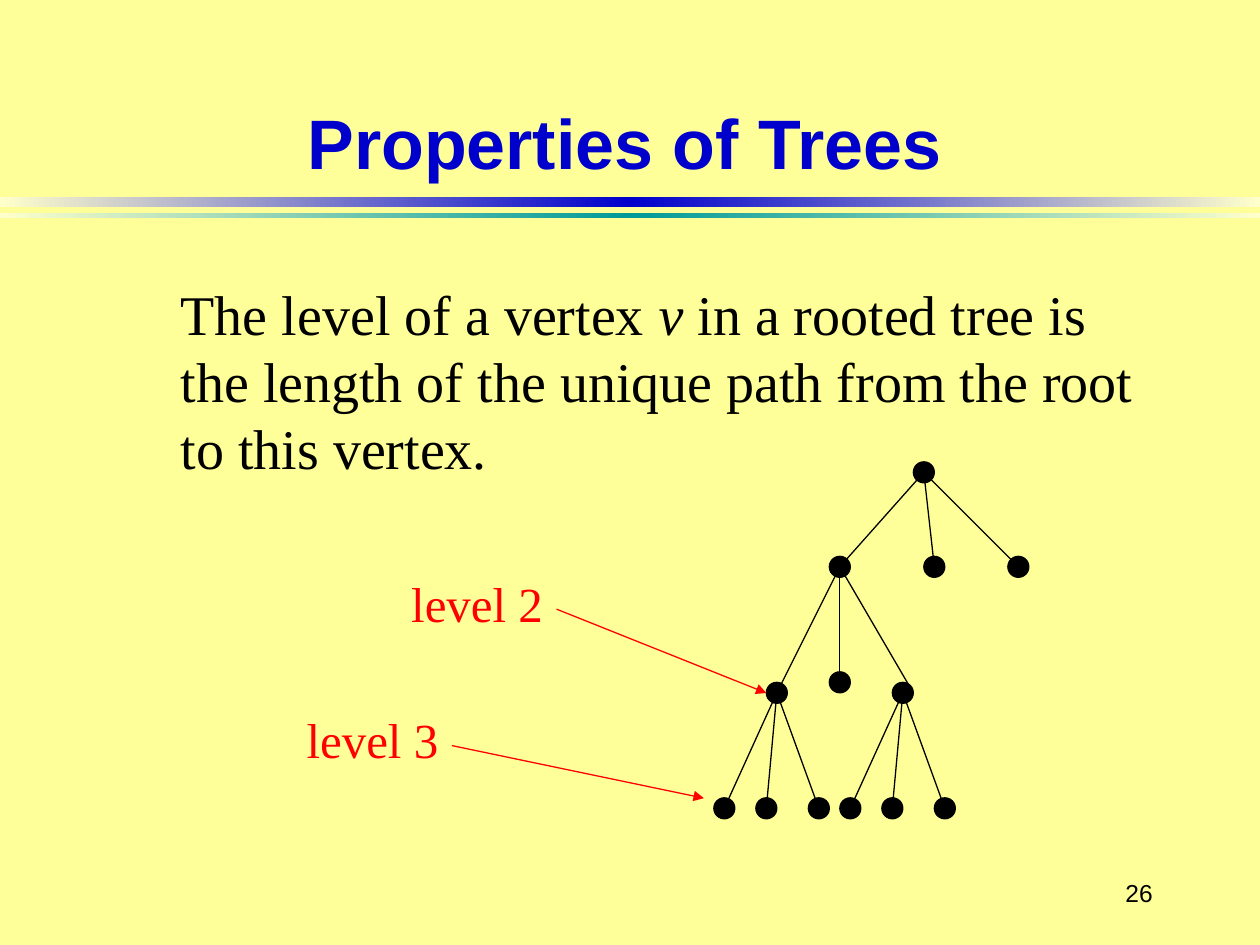
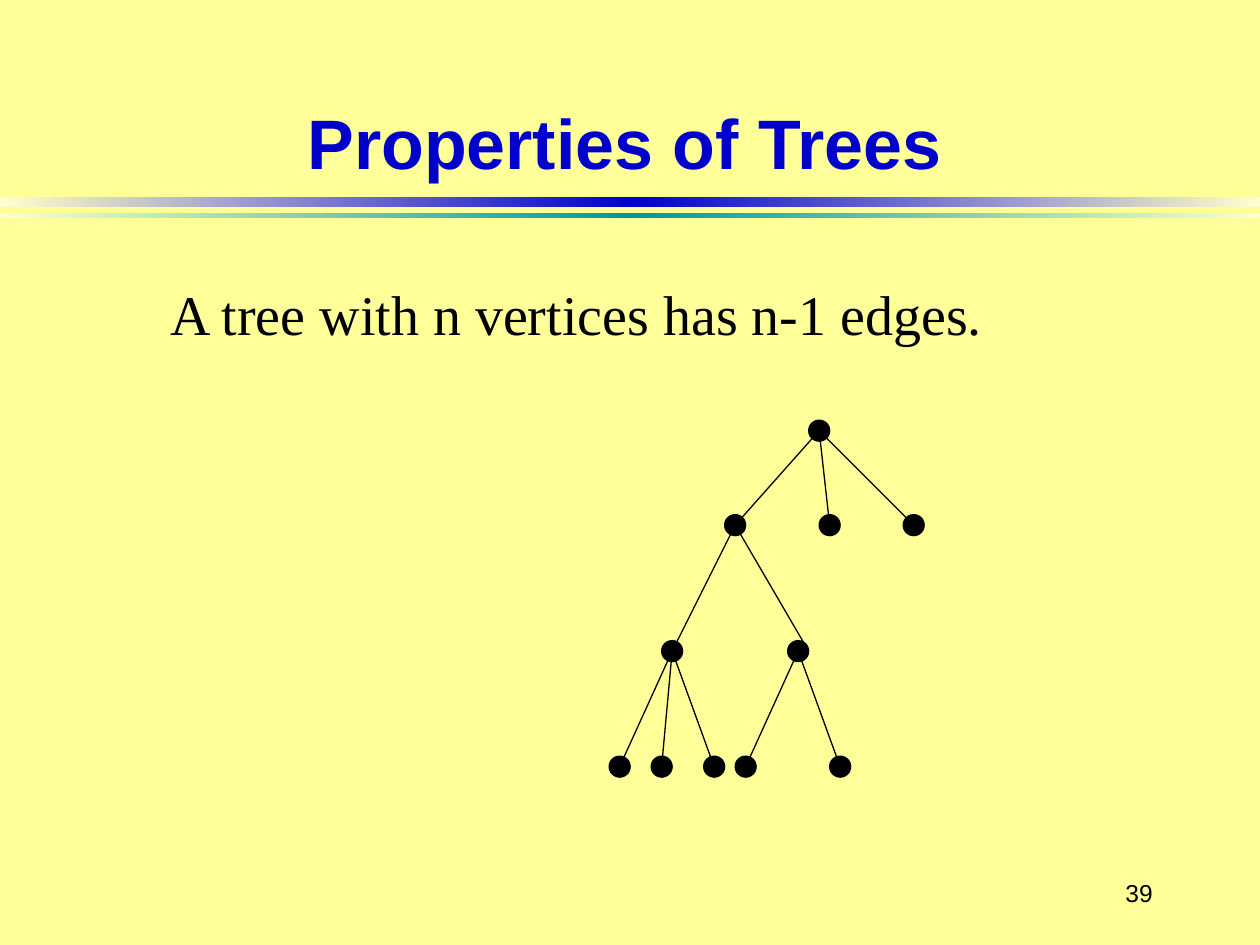
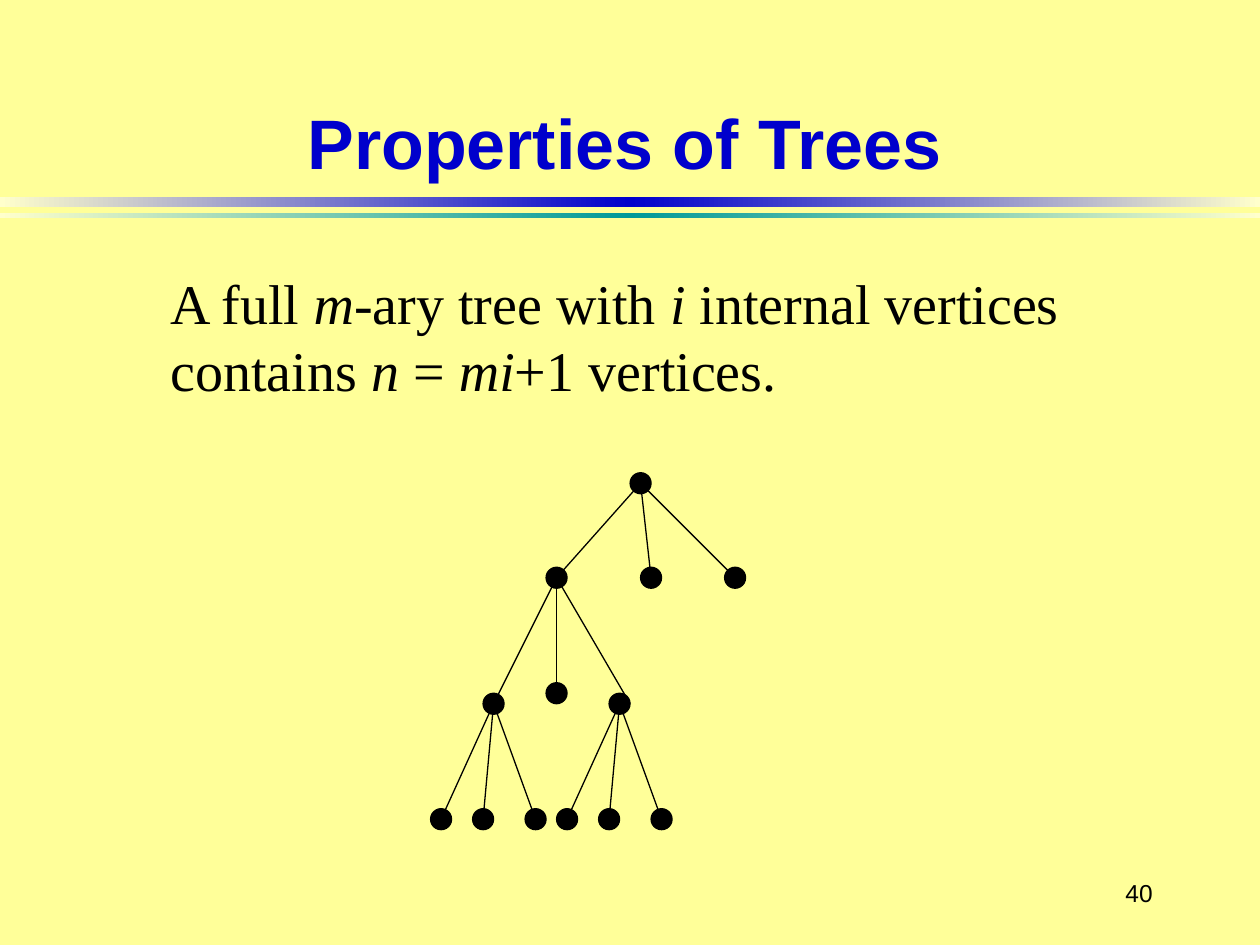
import pptx
import pptx.util
from lxml import etree
from pptx.dml.color import RGBColor
from pptx.enum.dml import MSO_LINE
from pptx.enum.shapes import MSO_CONNECTOR, MSO_SHAPE
from pptx.enum.text import MSO_ANCHOR, MSO_AUTO_SIZE, PP_ALIGN
from pptx.oxml.ns import qn
from pptx.util import Cm, Pt

PAPER = RGBColor(0xFF, 0xFF, 0x99)
CREAM = RGBColor(0xFF, 0xFF, 0xCC)
BLUE = RGBColor(0x00, 0x00, 0xCC)
TEAL = RGBColor(0x00, 0x99, 0x99)
BLACK = RGBColor(0x00, 0x00, 0x00)
RED = RGBColor(0xFF, 0x00, 0x00)

TITLE_STYLE = {"name": "Arial", "size": Pt(40), "bold": True, "color": BLUE}
BODY_STYLE = {"name": "Times New Roman", "size": Pt(32), "color": BLACK}
LABEL_STYLE = {"name": "Times New Roman", "size": Pt(28), "color": RED}
NUMBER_STYLE = {"name": "Arial", "size": Pt(14), "color": BLACK}

UNIT = Cm(2.54) / 12  # the trees sit on a grid of twelve steps to the inch

# Vertex: column and row in grid units, parent
TREE = {
    "root": (20, 1, None),
    "inner": (12, 10, "root"),
    "second": (21, 10, "root"),
    "third": (29, 10, "root"),
    "left": (6, 22, "inner"),
    "middle": (12, 21, "inner"),
    "right": (18, 22, "inner"),
    "left leaf 1": (1, 33, "left"),
    "left leaf 2": (5, 33, "left"),
    "left leaf 3": (10, 33, "left"),
    "right leaf 1": (13, 33, "right"),
    "right leaf 2": (17, 33, "right"),
    "right leaf 3": (22, 33, "right"),
}
EDGE_SHIFT = {"right": 1}  # this edge meets its vertex off centre

# Italic parts of a statement stand between asterisks
SLIDES = [
    {"number": "26",
     "statement": "The level of a vertex *v* in a rooted tree is the length "
                  "of the unique path from the root to this vertex.",
     "statement_box": (Cm(3.39), Cm(5.5), Cm(20.11), Cm(4.32)),
     "tree_at": (Cm(14.39), Cm(9.31)), "missing": (),
     # Label, its box, then the start and end of its arrow from the box corner
     "labels": [
         ("level 2", (Cm(8.04), Cm(11.43), Cm(4.66), Cm(1.45)),
          (Cm(3.18), Cm(0.85)), (Cm(7.41), Cm(2.54))),
         ("level 3", (Cm(5.93), Cm(14.18), Cm(3.6), Cm(1.45)),
          (Cm(3.18), Cm(0.85)), (Cm(8.26), Cm(1.91))),
     ]},
    {"number": "39",
     "statement": "A tree with n vertices has n-1 edges.",
     "statement_box": (Cm(3.18), Cm(5.5), Cm(20.74), Cm(1.63)),
     "tree_at": (Cm(12.28), Cm(8.47)), "missing": ("middle", "right leaf 2"),
     "labels": []},
    {"number": "40",
     "statement": "A full *m*-ary tree with *i* internal vertices contains "
                  "*n *= *mi*+1 vertices.",
     "statement_box": (Cm(3.18), Cm(5.29), Cm(20.74), Cm(2.96)),
     "tree_at": (Cm(8.68), Cm(9.53)), "missing": (),
     "labels": []},
]


def set_font(font, style):
    for key, value in style.items():
        if key == "color":
            font.color.rgb = value
        else:
            setattr(font, key, value)


def place(shape, box):
    for key, value in zip(("left", "top", "width", "height"), box):
        setattr(shape, key, value)


def write(shape, text, style, align=PP_ALIGN.LEFT, **frame_format):
    """Fill a shape with one paragraph; text between asterisks is italic."""
    frame = shape.text_frame
    settings = {"word_wrap": True, "auto_size": MSO_AUTO_SIZE.NONE,
                "vertical_anchor": MSO_ANCHOR.TOP, **frame_format}
    for key, value in settings.items():
        setattr(frame, key, value)
    para = frame.paragraphs[0]
    para.alignment = align
    para.space_before = Pt(0)
    for index, part in enumerate(text.split("*")):
        if part:
            span = para.add_run()
            span.text = part
            set_font(span.font, style)
            if index % 2:
                span.font.italic = True
    return para


def add_line(page, start, end, color, arrow=False):
    line = page.shapes.add_connector(MSO_CONNECTOR.STRAIGHT, *start, *end)
    line.line.width = Pt(0.75)
    line.line.color.rgb = color
    line.line.dash_style = MSO_LINE.SOLID
    if arrow:
        etree.SubElement(line.line._get_or_add_ln(), qn("a:tailEnd"), type="triangle")
    etree.SubElement(line.element.spPr, qn("a:effectLst"))


def add_bands(deck, page):
    """Draw the two gradient bands and move them to the slide master."""
    bands = [(Cm(3.97), Cm(0.2), BLUE), (Cm(4.29), Cm(0.11), TEAL)]
    for index, (top, height, color) in enumerate(bands):
        band = page.shapes.add_shape(MSO_SHAPE.RECTANGLE, 0, top, deck.slide_width, height)
        band.shadow.inherit = False
        band.line.fill.background()
        band.fill.gradient()
        band.fill.gradient_angle = 0
        stops = band.fill._fill._gradFill.gsLst
        for stop in list(stops):
            stops.remove(stop)
        for position, shade in ((0, CREAM), (50000, color), (100000, CREAM)):
            stop = etree.SubElement(stops, qn("a:gs"), pos=str(position))
            etree.SubElement(stop, qn("a:srgbClr"), val=str(shade))
        band.element.nvSpPr.cNvPr.set("id", str(100 + index))
        deck.slide_master.shapes.element.append(band.element)


def add_tree(page, corner, missing):
    left, top = corner

    def point(column, row):
        return round(left + column * UNIT), round(top + row * UNIT)

    vertices = {name: vertex for name, vertex in TREE.items() if name not in missing}
    for name, (column, row, parent) in vertices.items():
        if parent:
            end = point(column + EDGE_SHIFT.get(name, 0), row)
            add_line(page, point(*TREE[parent][:2]), end, BLACK)
    for column, row, _ in vertices.values():
        size = round(2 * UNIT)
        dot = page.shapes.add_shape(MSO_SHAPE.OVAL, *point(column - 1, row - 1), size, size)
        dot.shadow.inherit = False
        dot.fill.solid()
        dot.fill.fore_color.rgb = BLACK
        dot.line.color.rgb = BLACK
        dot.line.width = Pt(0.75)


def add_label(page, text, box, start, end):
    label = page.shapes.add_textbox(*box)
    write(label, text, LABEL_STYLE)
    left, top = box[:2]
    add_line(page, (left + start[0], top + start[1]),
             (left + end[0], top + end[1]), RED, arrow=True)


def add_tree_page(deck, content):
    page = deck.slides.add_slide(deck.slide_layouts.get_by_name("Title and Content"))

    # Title and statement
    title, body = page.placeholders
    place(title, (Cm(1.69), Cm(0.64), Cm(21.8), Cm(3.18)))
    write(title, "Properties of Trees", TITLE_STYLE, PP_ALIGN.CENTER,
          vertical_anchor=MSO_ANCHOR.BOTTOM)
    place(body, content["statement_box"])
    para = write(body, content["statement"], BODY_STYLE)
    properties = para._p.get_or_add_pPr()
    properties.set("marL", "0")
    properties.set("indent", "0")
    etree.SubElement(properties, qn("a:buNone"))

    # Tree with its labels
    add_tree(page, content["tree_at"], content["missing"])
    for label in content["labels"]:
        add_label(page, *label)

    # Page number
    number = page.shapes.add_textbox(Cm(21.8), Cm(17.36), Cm(1.69), Cm(1.27))
    write(number, content["number"], NUMBER_STYLE, PP_ALIGN.RIGHT,
          vertical_anchor=MSO_ANCHOR.MIDDLE)
    return page


def main():
    deck = pptx.Presentation()
    deck.slide_width, deck.slide_height = Cm(25.4), Cm(19.05)
    background = deck.slide_master.background.fill
    background.solid()
    background.fore_color.rgb = PAPER
    pages = [add_tree_page(deck, content) for content in SLIDES]
    add_bands(deck, pages[0])
    deck.save("out.pptx")


if __name__ == "__main__":
    main()
